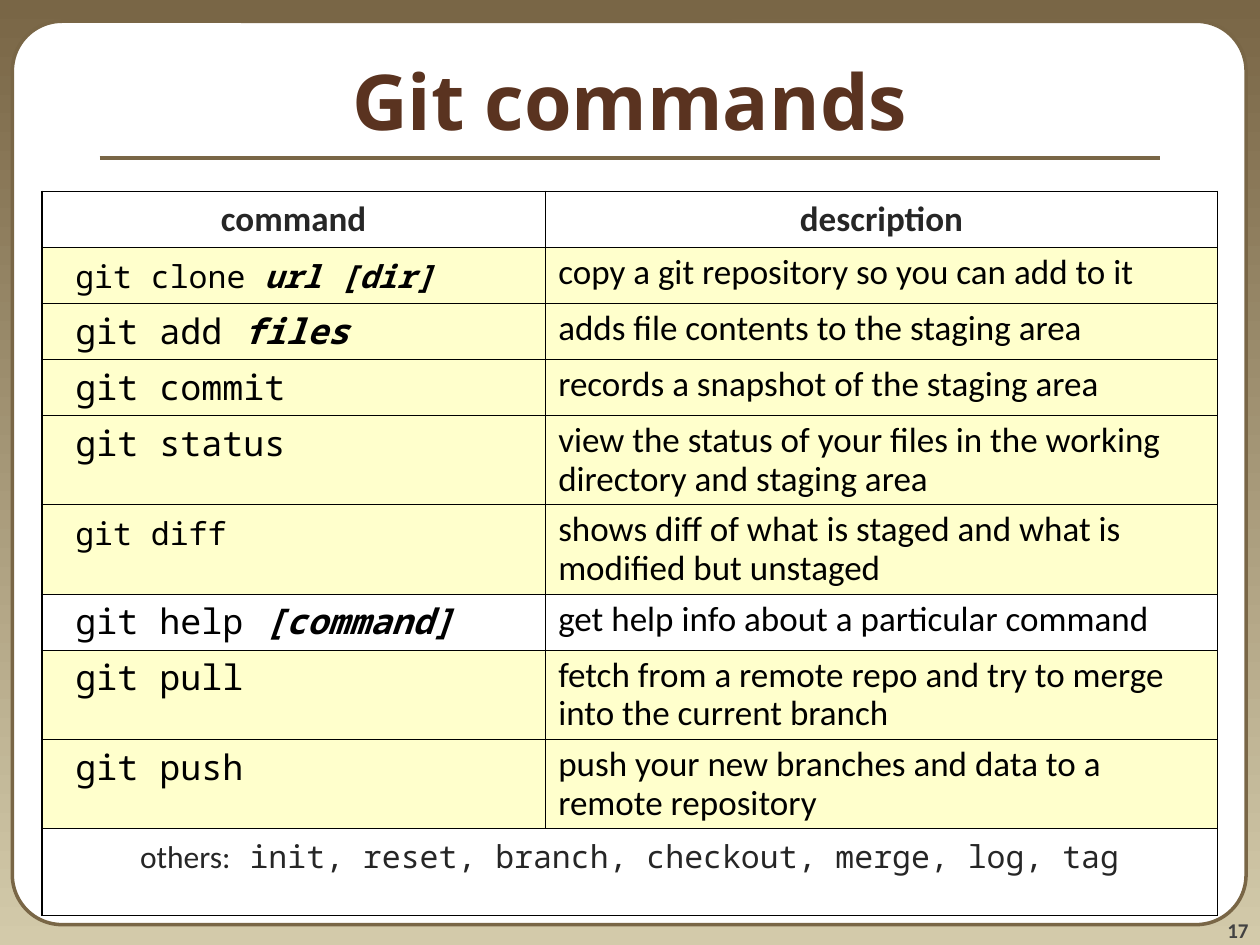
from lxml import etree
from pptx import Presentation, util as u
from pptx.dml.color import RGBColor
from pptx.enum import shapes, text
from pptx.oxml import ns

COLORS = {
    "brown": "796646", "sand": "D3CAAA", "white": "FFFFFF", "title": "5A3320",
    "dark": "262626", "gray": "424242", "black": "000000", "yellow": "FFFFCC",
}
BODY, MONO, HEAD = "Calibri", "Noto Sans Mono", "Open Sans"
ALIGN = text.PP_ALIGN

# Command, argument, description, command size, highlighted
COMMANDS = [
    ("git clone ", "url [dir]", "copy a git repository so you can add to it", 18, True),
    ("git add ", "files", "adds file contents to the staging area", 20, True),
    ("git commit", "", "records a snapshot of the staging area", 20, True),
    ("git status", "", "view the status of your files in the working "
     "directory and staging area", 20, True),
    ("git diff", "", "shows diff of what is staged and what is "
     "modified but unstaged", 18, True),
    ("git help ", "[command]", "get help info about a particular command", 20, False),
    ("git pull", "", "fetch from a remote repo and try to merge "
     "into the current branch", 20, True),
    ("git push", "", "push your new branches and data to a "
     "remote repository", 20, True),
]
SHORT, TALL, LAST = 1.13, 1.8, 1.75
ONE_LINE = 45  # longest description that fits on one line


def rgb(name):
    return RGBColor.from_string(COLORS[name])


class Slide:
    def __init__(self, page):
        self.page = page

    def background(self, top, bottom):
        fill = self.page.background.fill
        fill.gradient()
        fill.gradient_angle = 270
        for stop, color in zip(fill.gradient_stops, (top, bottom)):
            stop.color.rgb = rgb(color)

    def panel(self, x, y, w, h, radius):
        panel = self.page.shapes.add_shape(
            shapes.MSO_SHAPE.ROUNDED_RECTANGLE, u.Cm(x), u.Cm(y), u.Cm(w), u.Cm(h))
        panel.shadow.inherit = False
        panel.adjustments[0] = radius
        panel.fill.solid()
        panel.fill.fore_color.rgb = rgb("white")
        panel.line.color.rgb = rgb("brown")
        panel.line.width = u.Pt(2)

    def rule(self, x1, x2, y):
        rule = self.page.shapes.add_connector(
            shapes.MSO_CONNECTOR.STRAIGHT, u.Cm(x1), u.Cm(y), u.Cm(x2), u.Cm(y))
        rule.line.color.rgb = rgb("brown")
        rule.line.width = u.Pt(2.25)
        etree.SubElement(rule._element.spPr, ns.qn("a:effectLst"))

    def set_text(self, para, spans, size, color, font=BODY, bold=False,
                 align=ALIGN.LEFT, before=0, spacing=1.0):
        """Each span is (wording, changes to the paragraph font)."""
        para.alignment = align
        para.space_before = u.Pt(before)
        para.line_spacing = spacing
        for wording, changes in spans:
            span = para.add_run()
            span.text = wording
            # With several spans the style goes on each one
            self.set_font(span.font, size, color, font, bold)
            for name, value in changes.items():
                setattr(span.font, name, value)
        self.set_font(para.font, size, color, font, bold)

    def set_font(self, target, size, color, font, bold):
        target.name, target.size, target.bold = font, u.Pt(size), bold
        target.color.rgb = rgb(color)

    def label(self, x, y, w, h, wording, anchor, inset=0.0, **style):
        box = self.page.shapes.add_textbox(u.Cm(x), u.Cm(y), u.Cm(w), u.Cm(h))
        frame = box.text_frame
        frame.word_wrap = True
        frame.vertical_anchor = anchor
        frame.margin_left = frame.margin_right = u.Cm(inset)
        frame.margin_top = frame.margin_bottom = u.Cm(inset / 2)
        self.set_text(frame.paragraphs[0], [(wording, {})], **style)

    def table(self, x, y, widths, heights):
        frame = self.page.shapes.add_table(
            len(heights), len(widths), u.Cm(x), u.Cm(y),
            u.Cm(sum(widths)), u.Cm(sum(heights)))
        table = frame.table
        table.first_row = table.horz_banding = False
        for column, width in zip(table.columns, widths):
            column.width = u.Cm(width)
        for row, height in zip(table.rows, heights):
            row.height = u.Cm(height)
        bottom, right = len(heights) - 1, len(widths) - 1
        for r in range(len(heights)):
            for c in range(len(widths)):
                cell = table.cell(r, c)
                cell.fill.background()
                self.borders(cell, L=c == 0, R=c == right, T=r == 0, B=r == bottom)
        return table

    def borders(self, cell, **outer):
        props = cell._tc.get_or_add_tcPr()
        for place, (side, thick) in enumerate(outer.items()):
            line = etree.Element(ns.qn("a:ln" + side),
                                 w=str(int(u.Pt(1.08 if thick else 0.45))))
            fill = etree.SubElement(line, ns.qn("a:solidFill"))
            etree.SubElement(fill, ns.qn("a:srgbClr"), val=COLORS["black"])
            props.insert(place, line)

    def fill_cell(self, cell, spans, size, color, highlight=False, **style):
        if highlight:
            cell.fill.solid()
            cell.fill.fore_color.rgb = rgb("yellow")
        self.set_text(cell.text_frame.paragraphs[0], spans, size, color,
                      before=size / 4, **style)


def main():
    deck = Presentation()
    deck.slide_width, deck.slide_height = u.Cm(25.4), u.Cm(19.05)
    slide = Slide(deck.slides.add_slide(deck.slide_layouts[6]))

    # Frame, page number and title
    slide.background("brown", "sand")
    slide.panel(0.25, 0.43, 24.87, 18.21, 0.055)
    slide.label(23.06, 17.98, 2.11, 1.02, "17", text.MSO_ANCHOR.BOTTOM,
                size=12, color="gray", bold=True, align=ALIGN.RIGHT)
    slide.rule(2.01, 23.39, 3.18)
    slide.label(0, 0.43, 25.4, 3.18, "Git commands", text.MSO_ANCHOR.MIDDLE, 0.25,
                size=44, color="title", font=HEAD, bold=True, align=ALIGN.CENTER)

    # Table grid: header, one row per command, closing row
    heights = [SHORT if len(row[2]) < ONE_LINE else TALL for row in COMMANDS]
    table = slide.table(0.84, 3.86, [10.16, 13.54], [SHORT, *heights, LAST])
    for column, heading in enumerate(("command", "description")):
        slide.fill_cell(table.cell(0, column), [(heading, {})], 20, "dark",
                        bold=True, align=ALIGN.CENTER)

    # Command rows
    for row, (command, argument, description, size, lit) in enumerate(COMMANDS, 1):
        spans = [(" ", {"size": u.Pt(20)}), (command, {})]
        if argument:
            spans.append((argument, {"bold": True, "italic": True}))
        slide.fill_cell(table.cell(row, 0), spans, size, "black", lit,
                        font=MONO, spacing=0.9)
        slide.fill_cell(table.cell(row, 1), [(description, {})], 20, "black", lit,
                        spacing=0.9)

    # Closing row across both columns
    last = len(COMMANDS) + 1
    table.cell(last, 0).merge(table.cell(last, 1))
    others = [("others:", {}),
              (" init, reset, branch, checkout, merge, log, tag", {"name": MONO})]
    slide.fill_cell(table.cell(last, 0), others, 18, "dark", align=ALIGN.CENTER)
    deck.save("out.pptx")


if __name__ == "__main__":
    main()
